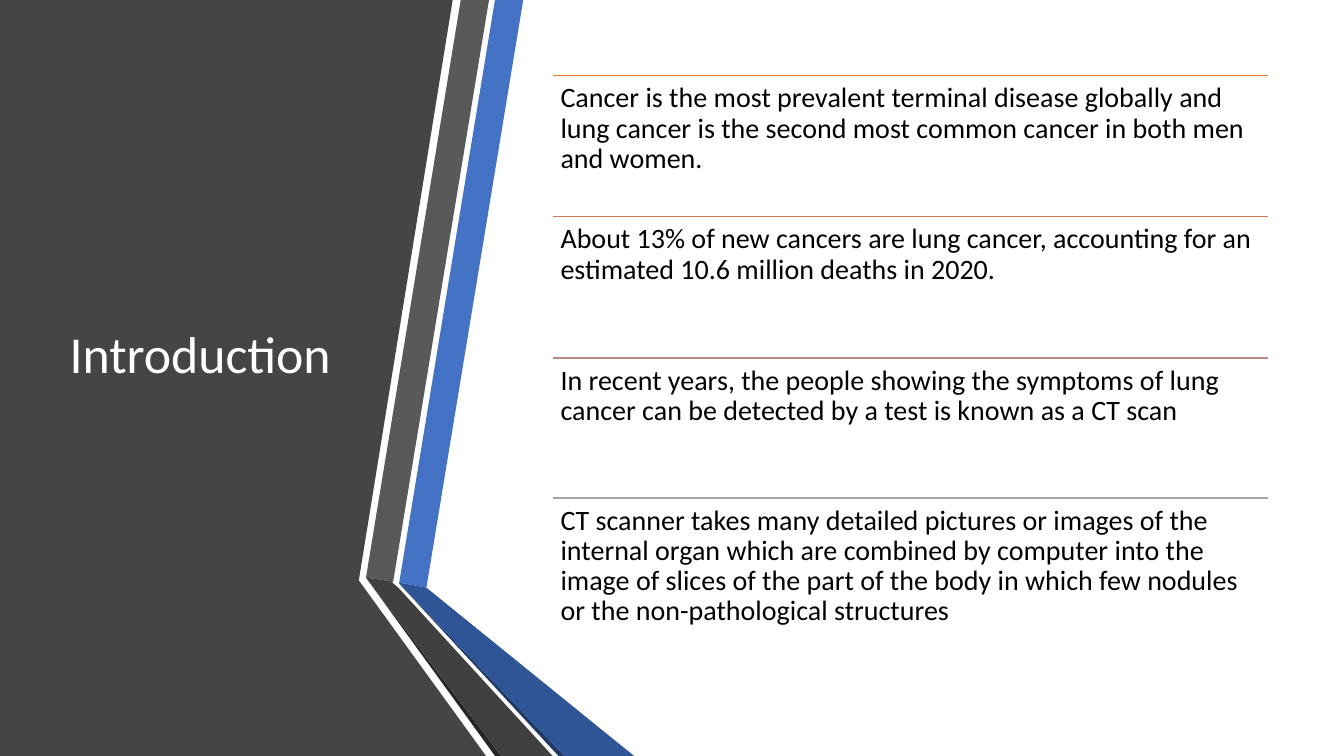
from lxml.etree import SubElement
from pptx import Presentation
from pptx.dml.color import RGBColor
from pptx.enum.shapes import MSO_CONNECTOR
from pptx.enum.text import MSO_ANCHOR, MSO_AUTO_SIZE, PP_ALIGN
from pptx.oxml.ns import qn
from pptx.util import Emu, Pt

WHITE = RGBColor(0xFF, 0xFF, 0xFF)
BLACK = RGBColor(0x00, 0x00, 0x00)
CHARCOAL = RGBColor(0x45, 0x45, 0x45)
GRAY = RGBColor(0x59, 0x59, 0x59)
DARK_GRAY = RGBColor(0x40, 0x40, 0x40)
GRAY_EDGE = RGBColor(0x26, 0x26, 0x26)
BLUE = RGBColor(0x44, 0x72, 0xC4)
DARK_BLUE = RGBColor(0x2F, 0x55, 0x97)
BLUE_EDGE = RGBColor(0x20, 0x38, 0x64)
ORANGE = RGBColor(0xED, 0x7D, 0x31)
COPPER = RGBColor(0xD1, 0x7B, 0x5C)
ROSE = RGBColor(0xB9, 0x8A, 0x82)
SILVER = RGBColor(0xA5, 0xA5, 0xA5)

BANDS = [
    (CHARCOAL, [(0, 0), (449, 0), (356, 575), (356, 576), (482, 750), (0, 750)]),
    (BLUE, [(396, 578), (423, 583), (519, 0), (491, 0)]),
    (GRAY, [(485, 0), (457, 0), (363, 573), (390, 577)]),
    (GRAY_EDGE, [(363, 573), (491, 750), (497, 750)]),
    (BLUE_EDGE, [(396, 579), (554, 750), (560, 750)]),
    (DARK_BLUE, [(396, 579), (560, 750), (629, 750), (423, 583), (396, 578)]),
    (DARK_GRAY, [(548, 750), (395, 583), (389, 578), (390, 577), (363, 573), (497, 750)]),
]

POINTS = [
    (ORANGE, "Cancer is the most prevalent terminal disease globally and lung cancer "
             "is the second most common cancer in both men and women."),
    (COPPER, "About 13% of new cancers are lung cancer, accounting for an estimated "
             "10.6 million deaths in 2020."),
    (ROSE, "In recent years, the people showing the symptoms of lung cancer can be "
           "detected by a test is known as a CT scan"),
    (SILVER, "CT scanner takes many detailed pictures or images of the internal organ "
             "which are combined by computer into the image of slices of the part of "
             "the body in which few nodules or the non-pathological structures"),
]

LIST_LEFT, LIST_TOP, LIST_WIDTH, LIST_HEIGHT = 548, 75, 710, 559


class SlideBuilder:
    """Draws styled elements on the current slide, with 100 px to the inch."""

    FONT = "Calibri"
    SCALE = 9144
    INSET = 8

    def __init__(self, page):
        self.page = page

    @classmethod
    def px(cls, length):
        return Emu(length * cls.SCALE)

    def style(self, paragraph, size, color):
        paragraph.alignment = PP_ALIGN.LEFT
        paragraph.line_spacing = 0.9
        for span in paragraph.runs:
            span.font.name = self.FONT
            span.font.size = Pt(size)
            span.font.color.rgb = color

    def band(self, color, corners):
        builder = self.page.shapes.build_freeform(*corners[0], scale=self.SCALE)
        builder.add_line_segments(corners[1:], close=True)
        shape = builder.convert_to_shape()
        shape.shadow.inherit = False
        shape.fill.solid()
        shape.fill.fore_color.rgb = color
        shape.line.fill.background()

    def title(self, text, left, top, width, height):
        title = self.page.shapes.title
        self.page.shapes.element.append(title.element)
        title.left, title.top = self.px(left), self.px(top)
        title.width, title.height = self.px(width), self.px(height)
        frame = title.text_frame
        frame.text = text
        frame.auto_size = MSO_AUTO_SIZE.NONE
        frame.vertical_anchor = MSO_ANCHOR.MIDDLE
        self.style(frame.paragraphs[0], 37, WHITE)

    def rule(self, color, left, top, width):
        start, end, level = self.px(left), self.px(left + width), self.px(top)
        line = self.page.shapes.add_connector(MSO_CONNECTOR.STRAIGHT, start, level, end, level)
        line.line.color.rgb = color
        line.line.width = Pt(1)
        SubElement(line.element.spPr, qn("a:effectLst"))

    def text(self, text, left, top, width, height):
        box = self.page.shapes.add_textbox(*map(self.px, (left, top, width, height)))
        frame = box.text_frame
        frame.word_wrap = True
        frame.margin_left = frame.margin_right = self.px(self.INSET)
        frame.margin_top = frame.margin_bottom = self.px(self.INSET)
        frame.text = text
        paragraph = frame.paragraphs[0]
        paragraph.space_after = Pt(7)
        self.style(paragraph, 20, BLACK)


def main():
    deck = Presentation()
    deck.slide_width = SlideBuilder.px(1333)
    deck.slide_height = SlideBuilder.px(750)
    builder = SlideBuilder(deck.slides.add_slide(deck.slide_layouts[5]))

    for color, corners in BANDS:
        builder.band(color, corners)
    builder.title("Introduction", 59, 75, 304, 558)

    row_height = round(LIST_HEIGHT / len(POINTS))
    for row, (color, text) in enumerate(POINTS):
        top = LIST_TOP + round(row * LIST_HEIGHT / len(POINTS))
        builder.rule(color, LIST_LEFT, top, LIST_WIDTH)
        builder.text(text, LIST_LEFT, top, LIST_WIDTH, row_height)

    deck.save("out.pptx")


if __name__ == "__main__":
    main()
